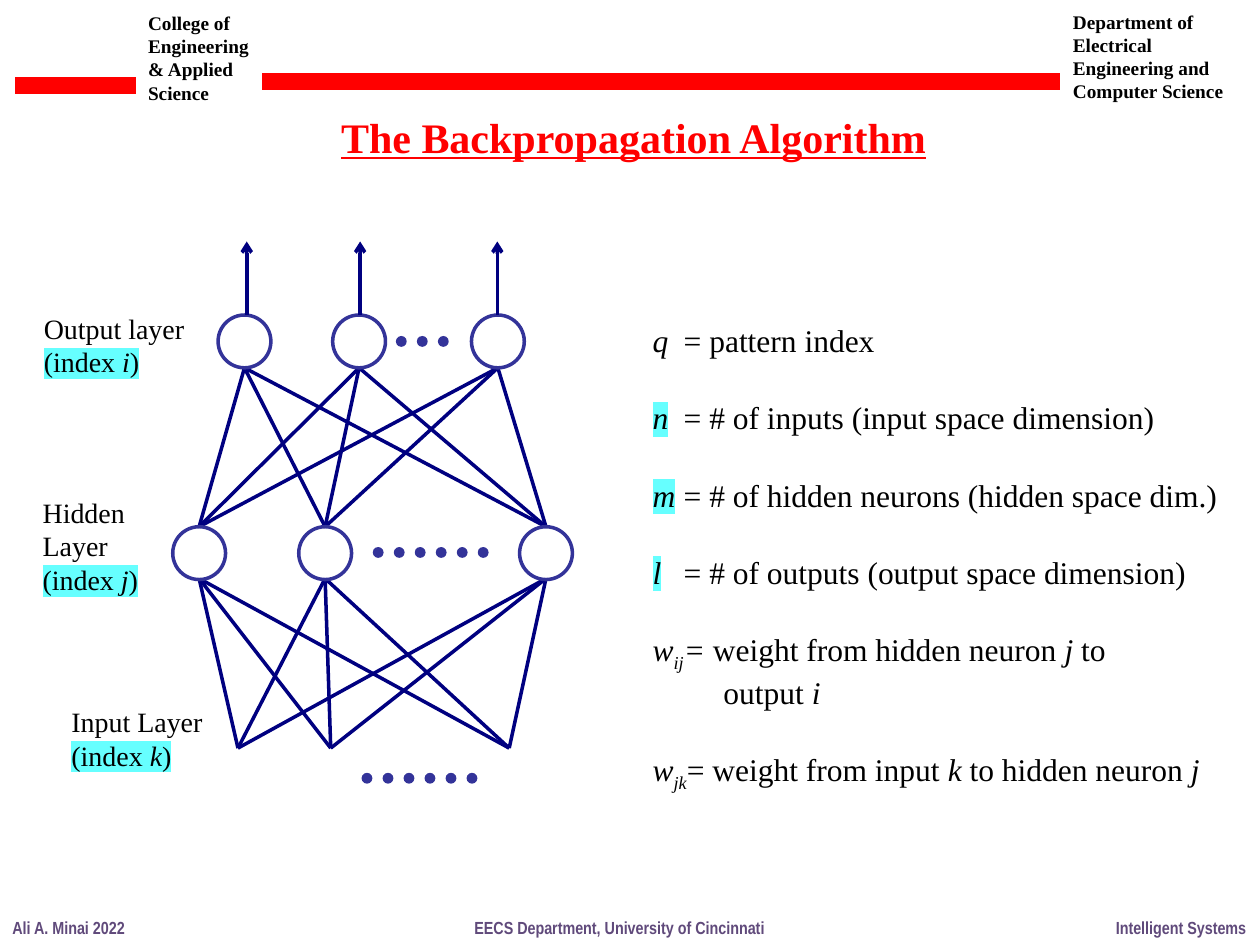
"""Draw a slide on the backpropagation algorithm with a layered network."""
from dataclasses import dataclass
from itertools import product

from lxml.etree import SubElement
from pptx import Presentation
from pptx.dml.color import RGBColor
from pptx.enum.shapes import MSO_CONNECTOR, MSO_SHAPE
from pptx.enum.text import MSO_ANCHOR, MSO_AUTO_SIZE, PP_ALIGN
from pptx.oxml.ns import qn
from pptx.util import Pt

COLORS = {"red": "FF0000", "black": "000000", "white": "FFFFFF", "navy": "000080",
          "ring": "333399", "foot": "604A7B", "mark": "66FFFF"}
SERIF = "Times New Roman"
FORMATS = {
    "title": {"name": SERIF, "size": Pt(24), "bold": True, "underline": True},
    "head": {"name": SERIF, "size": Pt(11), "bold": True},
    "foot": {"name": "Arial Narrow", "size": Pt(10), "bold": True},
    "label": {"name": SERIF, "size": Pt(16)},
    "legend": {"name": SERIF, "size": Pt(18)},
}
INKS = {"title": "red", "foot": "foot"}


@dataclass
class Run:
    """A piece of text with its traits: i italic, h marked, s lowered."""
    text: str
    traits: str = ""


@dataclass
class Line:
    """A paragraph with its space before, left margin and tab stop."""
    runs: list[Run]
    before: float = 0
    margin: float = 0
    tab: float = 0


@dataclass
class Box:
    """A text box in points."""
    left: float
    top: float
    width: float
    height: float
    style: str
    lines: list[Line]
    wrap: bool = False


@dataclass
class Dots:
    """A row of evenly spaced dots."""
    left: float
    top: float
    count: int


def ink(name: str) -> RGBColor:
    """Return a named colour."""
    return RGBColor.from_string(COLORS[name])


def plain(text: str) -> list[Line]:
    """Wrap one string as a single paragraph."""
    return [Line([Run(text)])]


def label(index: str, *names: str) -> list[Line]:
    """Return the lines of a layer label with its marked index."""
    mark = Line([Run("(index ", "h"), Run(index, "hi"), Run(")", "h")])
    return [Line([Run(name)]) for name in names] + [mark]


def entry(sign: str, text: str, traits: str = "hi", before: float = 22.5) -> Line:
    """Return a legend line with its meaning set at a tab stop."""
    return Line([Run(sign, traits), Run("\t= " + text)], before, tab=17.8)


def fill_text(frame, box: Box) -> None:
    """Write the lines of a box into a text frame."""
    frame.word_wrap = box.wrap
    frame.auto_size = MSO_AUTO_SIZE.NONE
    for spot, line in enumerate(box.lines):
        para = frame.add_paragraph() if spot else frame.paragraphs[0]
        props = para._p.get_or_add_pPr()
        if line.margin:
            props.set("marL", str(Pt(line.margin)))
        if line.tab:
            tabs = SubElement(props, qn("a:tabLst"))
            SubElement(tabs, qn("a:tab"), pos=str(Pt(line.tab)), algn="l")
        para.space_before = Pt(line.before)
        for part in line.runs:
            run = para.add_run()
            run.text = part.text
            for key, value in FORMATS[box.style].items():
                setattr(run.font, key, value)
            run.font.italic = "i" in part.traits
            run.font.color.rgb = ink(INKS.get(box.style, "black"))
            props = run._r.get_or_add_rPr()
            if "s" in part.traits:
                props.set("baseline", "-25000")
            if "h" in part.traits:
                mark = SubElement(props, qn("a:highlight"))
                SubElement(mark, qn("a:srgbClr"), val=COLORS["mark"])
                props.find(qn("a:solidFill")).addnext(mark)


def add_box(shapes, box: Box) -> None:
    """Add a text box."""
    places = map(Pt, (box.left, box.top, box.width, box.height))
    fill_text(shapes.add_textbox(*places).text_frame, box)


def add_line(shapes, start: tuple, end: tuple, color: str = "navy",
             width: float = 2, arrow: bool = False) -> None:
    """Add a straight line, with an open arrowhead at its end if asked."""
    line = shapes.add_connector(MSO_CONNECTOR.STRAIGHT, *map(Pt, start + end))
    line.line.color.rgb = ink(color)
    line.line.width = Pt(width)
    props = line._element.spPr
    if arrow:
        SubElement(props.find(qn("a:ln")), qn("a:tailEnd"), type="arrow")
    SubElement(props, qn("a:effectLst"))


def add_round(shapes, kind: MSO_SHAPE, left: float, top: float, size: float,
              fill: str, ringed: bool) -> None:
    """Add a node or a dot."""
    shape = shapes.add_shape(kind, *map(Pt, (left, top, size, size)))
    shape.shadow.inherit = False
    shape.fill.solid()
    shape.fill.fore_color.rgb = ink(fill)
    if ringed:
        shape.line.color.rgb = ink("ring")
        shape.line.width = Pt(2)
    else:
        shape.line.fill.background()


def add_net(shapes) -> None:
    """Draw the nodes, edges, arrows and dots of the network."""
    outs, mids, ins = (139.7, 205.2, 284.5), (113.8, 185.8, 312), (136, 189, 291)
    for ends, starts in (((outs, 210.2), (mids, 301)), ((mids, 330.6), (ins, 427.5))):
        for end, start in product(ends[0], starts[0]):
            add_line(shapes, (start, starts[1]), (end, ends[1]))
    for xs, top in ((outs, 180), (mids, 301)):
        for x in xs:
            add_round(shapes, MSO_SHAPE.OVAL, x - 15.1, top, 30.2, "white", True)
    for x in (141, 205.8, 284.2):
        add_line(shapes, (x, 180), (x, 138), arrow=True)
    for row in (Dots(226.2, 192, 3), Dots(213, 312.6, 6), Dots(206.6, 441.6, 6)):
        for spot in range(row.count):
            add_round(shapes, MSO_SHAPE.FLOWCHART_CONNECTOR, row.left + 12 * spot,
                      row.top, 6.2, "ring", False)


LEGEND = [
    entry("q", "pattern index", "i", 0),
    entry("n", "# of inputs (input space dimension)"),
    entry("m", "# of hidden neurons (hidden space dim.)"),
    entry("l", "# of outputs (output space dimension)"),
    Line([Run("w", "i"), Run("ij", "is"), Run("= ", "i"),
          Run("weight from hidden neuron "), Run("j", "i"), Run(" to")], 22.5),
    Line([Run("output "), Run("i", "i")], margin=40.5),
    Line([Run("w", "i"), Run("jk", "is"), Run("= weight from input "),
          Run("k", "i"), Run(" to hidden neuron "), Run("j", "i")], 22.5),
]
BOXES = [
    Box(77.5, 3, 78.5, 60.5, "head",
        plain("College of Engineering & Applied") + plain("Science"), True),
    Box(606, 2.2, 106, 60.5, "head",
        plain("Department of Electrical Engineering and Computer Science"), True),
    Box(0, 520.6, 79, 19.4, "foot", plain("Ali A. Minai 2022")),
    Box(264, 520.6, 181.5, 19.4, "foot",
        plain("EECS Department, University of Cincinnati")),
    Box(630.5, 520.6, 89.5, 19.4, "foot", plain("Intelligent Systems")),
    Box(365.8, 180, 345, 269.3, "legend", LEGEND, True),
    Box(18, 174.2, 100, 46, "label", label("i", "Output layer")),
    Box(17.3, 279.4, 70, 65.5, "label", label("j", "Hidden", "Layer")),
    Box(33.8, 399, 90.7, 46, "label", label("k", "Input Layer")),
]


def main() -> None:
    """Build and save the slide."""
    deck = Presentation()
    deck.slide_width, deck.slide_height = Pt(720), Pt(540)
    slide = deck.slides.add_slide(deck.slide_layouts[5])
    shapes, title = slide.shapes, slide.shapes.title
    title.left, title.top, title.width, title.height = map(Pt, (186, 60, 352, 36))
    fill_text(title.text_frame, Box(186, 60, 352, 36, "title",
                                    plain("The Backpropagation Algorithm")))
    title.text_frame.vertical_anchor = MSO_ANCHOR.TOP
    title.text_frame.paragraphs[0].alignment = PP_ALIGN.CENTER
    add_line(shapes, (8.6, 49), (77.8, 49), "red", 10)
    add_line(shapes, (149.8, 46.6), (606, 46.6), "red", 10)
    add_net(shapes)
    for box in BOXES:
        add_box(shapes, box)
    deck.save("out.pptx")


if __name__ == "__main__":
    main()
